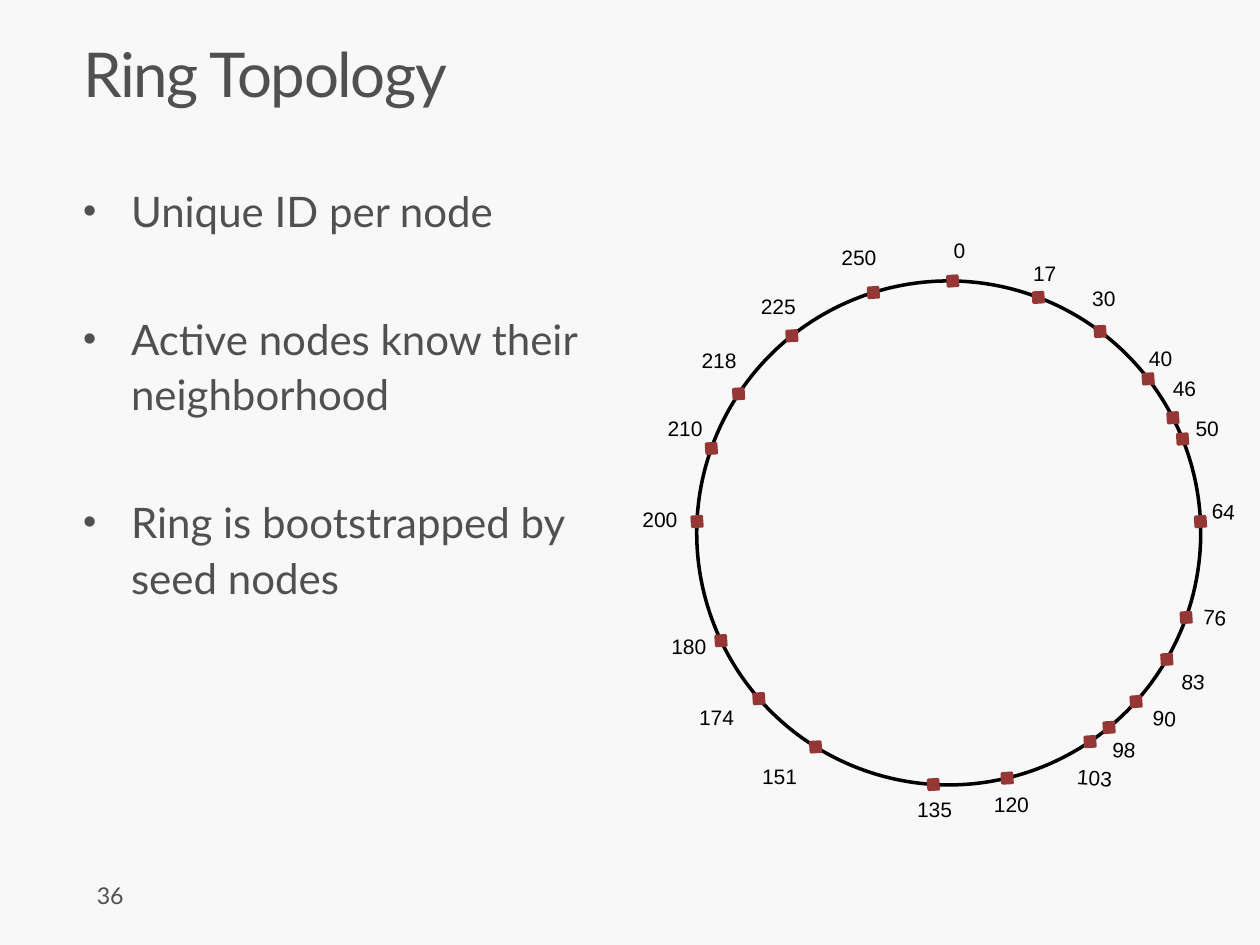
"""Build the Ring Topology slide: three bullets beside a ring of numbered nodes."""
from math import cos, radians, sin

from lxml import etree
from pptx import Presentation
from pptx.dml.color import RGBColor
from pptx.enum.shapes import MSO_SHAPE
from pptx.enum.text import MSO_ANCHOR, MSO_AUTO_SIZE, PP_ALIGN
from pptx.oxml.ns import qn
from pptx.util import Inches, Pt

OVAL, SQUARE = MSO_SHAPE.OVAL, MSO_SHAPE.RECTANGLE
LEFT, TOP, NO_FIT = PP_ALIGN.LEFT, MSO_ANCHOR.TOP, MSO_AUTO_SIZE.NONE

COLORS = {"page": "F8F8F8", "text": "505050", "ring": "000000", "node": "953735"}
COLUMNS, ROWS = 100, 75
TITLE_ONLY = 5
CENTER_X, CENTER_Y, RADIUS = 75.3, 42.3, 20
NODE_SIZE = 0.8
LABEL_WIDTHS = {1: 2.9, 2: 3.9, 3: 4.8}

BULLETS = [
    "Unique ID per node",
    "Active nodes know their neighborhood",
    "Ring is bootstrapped by seed nodes",
]

# Node id, clockwise angle from the top, label column, label row
NODES = [
    (0, 0.9, 74.7, 18.4), (17, 20.8, 81, 20.2), (30, 36.9, 85.7, 22.2),
    (40, 52.3, 90.2, 26.9), (46, 62.8, 92.1, 29.3), (50, 68.1, 93.9, 32.5),
    (64, 87.4, 95.2, 39.1), (76, 109.6, 94.5, 47.5), (83, 120.1, 92.8, 52.6),
    (90, 132, 90.5, 55.5), (98, 140.5, 87.3, 58), (103, 145.9, 84.5, 60.2),
    (120, 166.6, 77.9, 62.3), (135, 183.5, 71.8, 62.7), (151, 211.9, 59.5, 60.1),
    (174, 228.9, 54.5, 55.4), (180, 244.7, 52.3, 49.8), (200, 272.6, 50, 39.7),
    (210, 289.6, 52, 32.5), (218, 303.5, 54.7, 27.1), (225, 321.5, 59.4, 22.8),
    (250, 342.6, 65.8, 18.9),
]


class SlideBuilder:
    """Hold the style and the current slide, and add each kind of element."""

    def __init__(self, deck):
        self.deck = deck
        self.page = deck.slides.add_slide(deck.slide_layouts[TITLE_ONLY])
        fill = self.page.background.fill
        fill.solid()
        fill.fore_color.rgb = self.color("page")

    def color(self, name):
        return RGBColor.from_string(COLORS[name])

    def place(self, column, row, width, height):
        cell_width = self.deck.slide_width / COLUMNS
        cell_height = self.deck.slide_height / ROWS
        return (round(column * cell_width), round(row * cell_height),
                round(width * cell_width), round(height * cell_height))

    def frame(self, box, wrap=True, inset=(0.1, 0.05)):
        frame = box.text_frame
        frame.word_wrap = wrap
        frame.auto_size = NO_FIT
        frame.vertical_anchor = TOP
        frame.margin_left = frame.margin_right = Inches(inset[0])
        frame.margin_top = frame.margin_bottom = Inches(inset[1])
        return frame

    def span(self, para, text, size, font="Lato", color="text"):
        span = para.add_run()
        span.text = text
        span.font.size = Pt(size)
        span.font.name = font
        span.font.color.rgb = self.color(color)
        return span

    def title(self, text, area):
        box = self.page.shapes.title
        box.left, box.top, box.width, box.height = self.place(*area)
        para = self.frame(box, inset=(0.16, 0.1)).paragraphs[0]
        para.alignment = LEFT
        para.line_spacing = 0.9
        span = self.span(para, text, 35.3)
        span.font._element.set("spc", "-80")

    def bullets(self, texts, area):
        box = self.page.shapes.add_textbox(*self.place(*area))
        frame = self.frame(box, inset=(0.16, 0.1))
        for index, text in enumerate(texts):
            para = frame.add_paragraph() if index else frame.paragraphs[0]
            para.line_spacing = 1.1
            para.space_before = Pt(41.5 if index else 0)
            props = para._p.get_or_add_pPr()
            props.set("marL", str(Inches(0.38)))
            props.set("indent", str(Inches(-0.38)))
            etree.SubElement(props, qn("a:buSzPct"), val="90000")
            etree.SubElement(props, qn("a:buFont"), typeface="Arial")
            etree.SubElement(props, qn("a:buChar"), char="•")
            self.span(para, text, 24)

    def label(self, text, area, size, font="Lato", color="text", turn=0, wrap=False):
        box = self.page.shapes.add_textbox(*self.place(*area))
        box.rotation = turn
        self.span(self.frame(box, wrap).paragraphs[0], text, size, font, color)

    def shape(self, kind, area, line, weight, fill=None, turn=0):
        shape = self.page.shapes.add_shape(kind, *self.place(*area))
        shape.shadow.inherit = False
        shape.rotation = turn
        shape.line.color.rgb = self.color(line)
        shape.line.width = Pt(weight)
        if fill:
            shape.fill.solid()
            shape.fill.fore_color.rgb = self.color(fill)
        else:
            shape.fill.background()

    def node(self, number, angle, column, row):
        x = CENTER_X + RADIUS * sin(radians(angle)) - NODE_SIZE / 2
        y = CENTER_Y - RADIUS * cos(radians(angle)) - NODE_SIZE / 2
        self.shape(SQUARE, (x, y, NODE_SIZE, NODE_SIZE), "node", 1.5, "node", 266.2)
        text = str(number)
        turn = 0 if number < 64 else 3.9 if number < 120 else 0.3
        self.label(text, (column, row, LABEL_WIDTHS[len(text)], 3), 12, "Arial", "ring", turn)


def main():
    deck = Presentation()
    deck.slide_width, deck.slide_height = Inches(10), Inches(7.5)
    builder = SlideBuilder(deck)
    builder.title("Ring Topology", (5, 2.5, 90, 10))
    builder.label("36", (6.7, 69.5, 21.7, 4), 13.2, wrap=True)
    builder.bullets(BULLETS, (5, 13.3, 44.2, 54))
    ring = (CENTER_X - RADIUS, CENTER_Y - RADIUS, 2 * RADIUS, 2 * RADIUS)
    builder.shape(OVAL, ring, "ring", 2)
    for node in NODES:
        builder.node(*node)
    deck.save("out.pptx")


if __name__ == "__main__":
    main()
